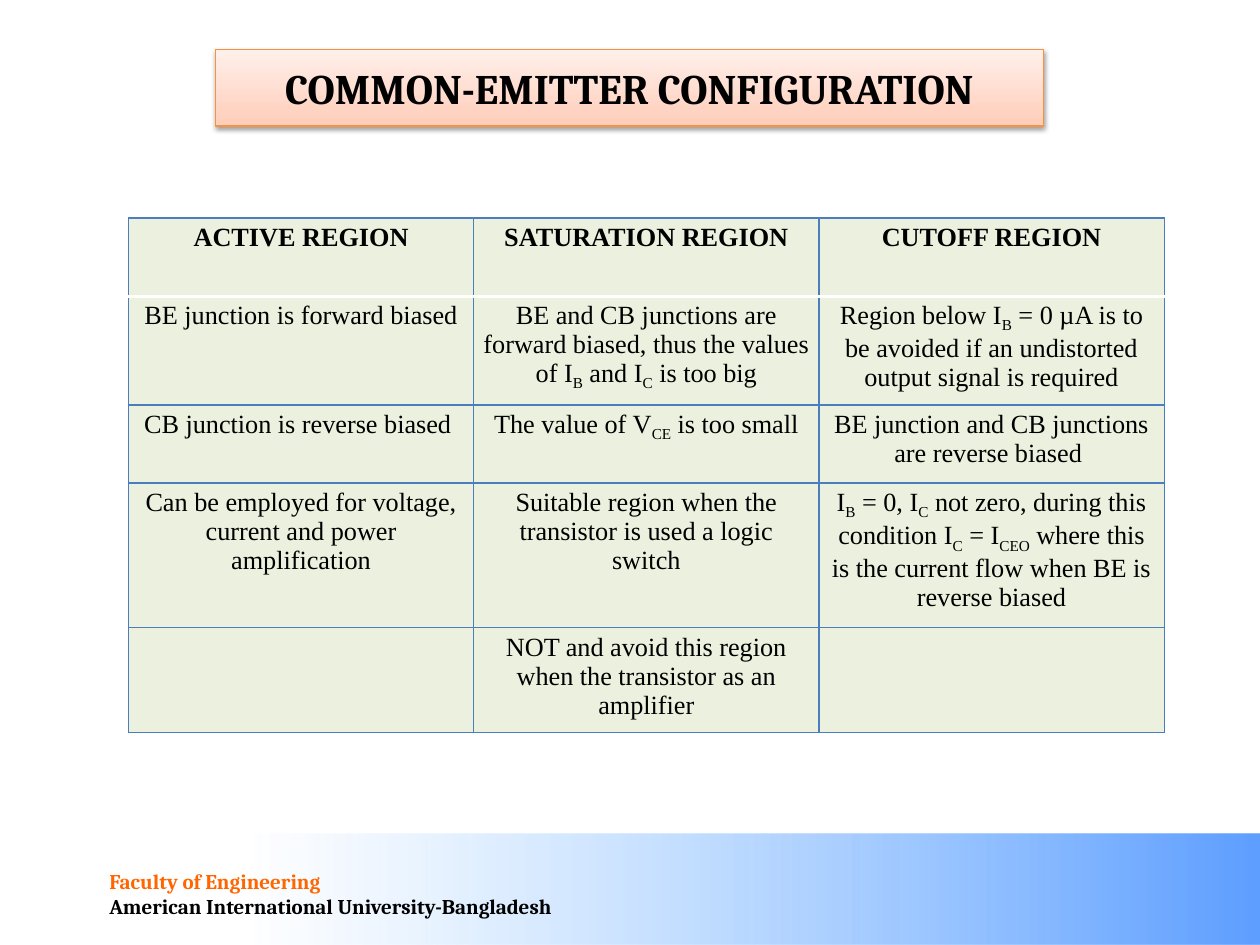
import pptx
import pptx.dml.color
import pptx.enum.shapes
import pptx.enum.text
import pptx.oxml
import pptx.oxml.ns
import pptx.util
from typing import NamedTuple

Inches = pptx.util.Inches
Pt = pptx.util.Pt
ALIGN = pptx.enum.text.PP_ALIGN
NS = pptx.oxml.ns.nsdecls("a")


class Stop(NamedTuple):
    pos: int
    color: str
    alpha: int = 100


class Box(NamedTuple):
    left: float
    top: float
    width: float
    height: float


class Edge(NamedTuple):
    color: str
    width: float


BLUE = Edge("4B7EBC", 0.75)
WHITE = Edge("FFFFFF", 2)
SERIF = "Times New Roman"
HEAD = "Cambria"

# Text between tildes is subscript
ROWS = [
    ["ACTIVE REGION", "SATURATION REGION", "CUTOFF REGION"],
    ["BE junction is forward biased",
     "BE and CB junctions are forward biased, thus the values of I~B~ and I~C~ is too big",
     "Region below I~B~ = 0 µA is to be avoided if an undistorted output signal is required"],
    ["CB junction is reverse biased ",
     "The value of V~CE~ is too small",
     "BE junction and CB junctions are reverse biased "],
    ["Can be employed for voltage, current and power amplification",
     "Suitable region when the transistor is used a logic switch",
     "I~B~ = 0, I~C~ not zero, during this condition I~C~ = I~CEO~ where this "
     "is the current flow when BE is reverse biased"],
    ["", "NOT and avoid this region when the transistor as an amplifier", ""],
]
HEIGHTS = [0.62, 0.86, 0.62, 1.15, 0.82]


def rgb(code: str) -> pptx.dml.color.RGBColor:
    return pptx.dml.color.RGBColor.from_string(code)


def style(para, name: str, size: float, color: str, bold: bool) -> None:
    font = para.font
    font.name, font.size, font.bold = name, Pt(size), bold
    font.color.rgb = rgb(color)


def add_rect(slide, box: Box, stops: list[Stop], angle: int):
    """Draw a rectangle with a linear gradient and no outline."""
    shape = slide.shapes.add_shape(
        pptx.enum.shapes.MSO_SHAPE.RECTANGLE, *map(Inches, box))
    shape.shadow.inherit = False
    shape.line.fill.background()
    marks = "".join(
        f'<a:gs pos="{s.pos * 1000}"><a:srgbClr val="{s.color}">'
        f'<a:alpha val="{s.alpha * 1000}"/></a:srgbClr></a:gs>' for s in stops)
    grad = pptx.oxml.parse_xml(
        f'<a:gradFill {NS} rotWithShape="1"><a:gsLst>{marks}</a:gsLst>'
        f'<a:lin ang="{angle * 60000}" scaled="0"/></a:gradFill>')
    geom = shape._element.spPr.find(pptx.oxml.ns.qn("a:prstGeom"))
    geom.addnext(grad)
    return shape


def add_edges(cell, edges: dict[str, Edge]) -> None:
    props = cell._tc.get_or_add_tcPr()
    for spot, (side, edge) in enumerate(edges.items()):
        props.insert(spot, pptx.oxml.parse_xml(
            f'<a:ln{side} {NS} w="{int(Pt(edge.width))}"><a:solidFill>'
            f'<a:srgbClr val="{edge.color}"/></a:solidFill></a:ln{side}>'))


def fill_cell(cell, text: str, row: int) -> None:
    cell.fill.solid()
    cell.fill.fore_color.rgb = rgb("EBF1DE")
    cell.margin_left = cell.margin_right = Inches(0.07)
    cell.margin_top = cell.margin_bottom = Inches(0.04)
    add_edges(cell, {"L": BLUE, "R": BLUE,
                     "T": WHITE if row == 1 else BLUE,
                     "B": WHITE if row == 0 else BLUE})
    para = cell.text_frame.paragraphs[0]
    para.alignment = ALIGN.CENTER
    style(para, SERIF, 15, "000000", row == 0)
    for spot, part in enumerate(text.split("~")):
        if part:
            run = para.add_run()
            run.text = part
            if spot % 2:
                run._r.get_or_add_rPr().set("baseline", "-25000")


def add_grid(slide) -> None:
    width = 2.74
    grid = slide.shapes.add_table(
        len(ROWS), len(ROWS[0]), Inches(1.02), Inches(1.73),
        Inches(width * len(ROWS[0])), Inches(sum(HEIGHTS))).table
    grid.first_row = grid.horz_banding = False
    for col in grid.columns:
        col.width = Inches(width)
    for row, (texts, height) in enumerate(zip(ROWS, HEIGHTS)):
        grid.rows[row].height = Inches(height)
        for col, text in enumerate(texts):
            fill_cell(grid.cell(row, col), text, row)


def add_title(slide) -> None:
    shape = add_rect(slide, Box(1.71, 0.39, 6.57, 0.61),
                     [Stop(0, "FFF0EB"), Stop(100, "FFCDB9")], 90)
    shape.line.color.rgb = rgb("F69240")
    shape.line.width = Pt(0.75)
    glow = shape._element.spPr.find(pptx.oxml.ns.qn("a:effectLst"))
    glow.append(pptx.oxml.parse_xml(
        f'<a:outerShdw {NS} blurRad="{int(Pt(3.1))}" dist="{int(Pt(1.6))}" '
        'dir="5400000" rotWithShape="0"><a:srgbClr val="000000">'
        '<a:alpha val="38000"/></a:srgbClr></a:outerShdw>'))
    frame = shape.text_frame
    frame.word_wrap = True
    frame.vertical_anchor = pptx.enum.text.MSO_ANCHOR.MIDDLE
    para = frame.paragraphs[0]
    para.text = "COMMON-EMITTER CONFIGURATION"
    para.alignment = ALIGN.CENTER
    style(para, HEAD, 24, "000000", True)


def add_foot(slide) -> None:
    add_rect(slide, Box(0, 6.62, 10, 0.88),
             [Stop(0, "5E9EFF"), Stop(80, "85C2FF", 0), Stop(100, "85C2FF", 0)], 180)
    frame = slide.shapes.add_textbox(
        *map(Inches, Box(0.77, 6.84, 3.8, 0.49))).text_frame
    frame.word_wrap = True
    lines = [("Faculty of Engineering", "FF6600"),
             ("American International University-Bangladesh", "000000")]
    for spot, (text, color) in enumerate(lines):
        para = frame.add_paragraph() if spot else frame.paragraphs[0]
        para.text = text
        style(para, HEAD, 12, color, True)


def main() -> None:
    deck = pptx.Presentation()
    deck.slide_width, deck.slide_height = Inches(10), Inches(7.5)
    slide = deck.slides.add_slide(deck.slide_layouts[6])
    add_foot(slide)
    add_grid(slide)
    add_title(slide)
    deck.save("out.pptx")


if __name__ == "__main__":
    main()
